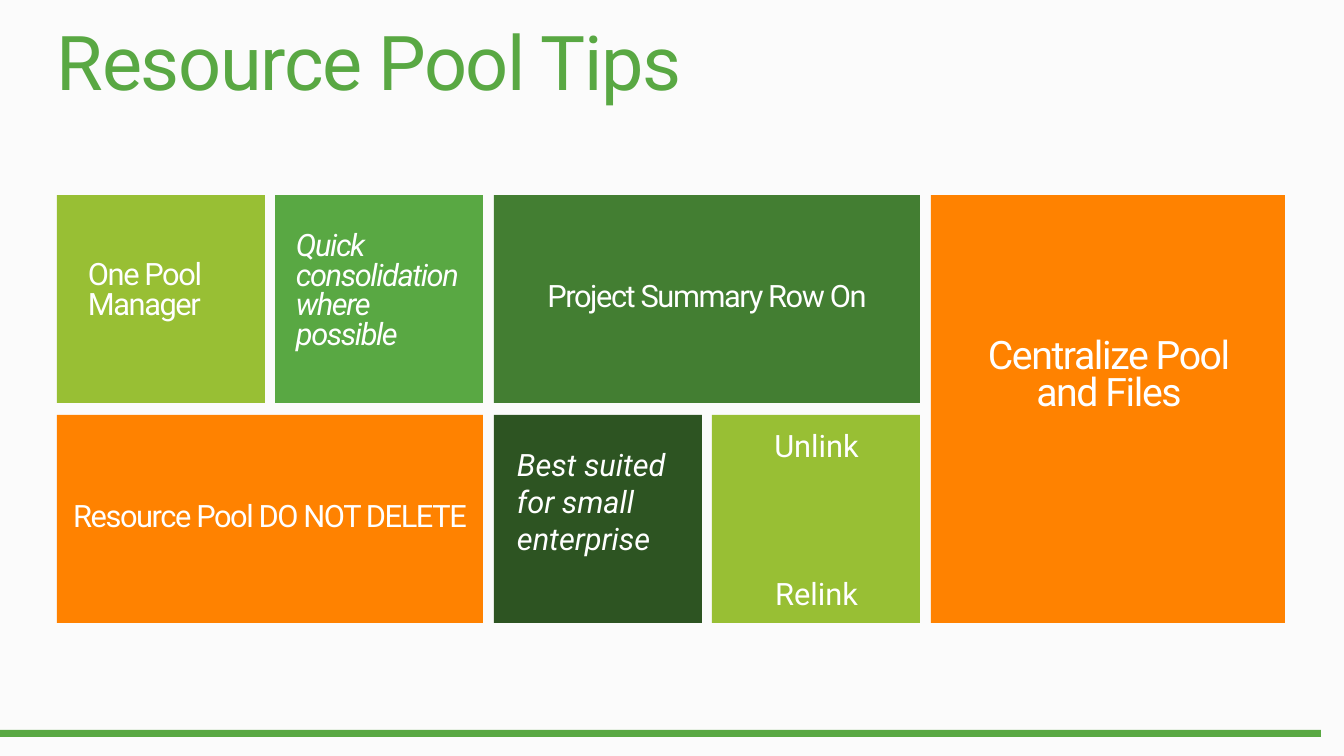
from pptx import Presentation
from pptx.dml.color import RGBColor
from pptx.enum.shapes import MSO_SHAPE as SHAPE
from pptx.enum.text import MSO_ANCHOR as ANCHOR, MSO_AUTO_SIZE as AUTO, PP_ALIGN as ALIGN
from pptx.util import Pt

PX = 914400 / 100.8  # EMU in one px
FONT = "Roboto"

BACKGROUND = RGBColor(0xFB, 0xFB, 0xFB)
WHITE = RGBColor(0xFF, 0xFF, 0xFF)
LIME = RGBColor(0x98, 0xBF, 0x34)
GREEN = RGBColor(0x59, 0xA8, 0x43)
MID_GREEN = RGBColor(0x43, 0x7E, 0x32)
DARK_GREEN = RGBColor(0x2D, 0x54, 0x22)
ORANGE = RGBColor(0xFF, 0x82, 0x00)

# Tile grid in px
GRID_LEFT, GRID_TOP = 57, 195
ROW_PITCH = 220
TILE, WIDE, TALL = 208, 426, 428

# Column, row, width, height, colour, text centred in the tile
TILES = [
    (0, 0, TILE, TILE, LIME, None),
    (1, 0, TILE, TILE, GREEN, None),
    (2, 0, WIDE, TILE, MID_GREEN, "Project Summary Row On"),
    (4, 0, 354, TALL, ORANGE, None),
    (0, 1, WIDE, TILE, ORANGE, "Resource Pool DO NOT DELETE"),
    (2, 1, TILE, TILE, DARK_GREEN, None),
    (3, 1, TILE, TILE, LIME, None),
]

TIGHT = {"line": 0.8, "spacing": -100}
CENTRED = {"align": ALIGN.CENTER}

# Box in px, paragraphs, format
CAPTIONS = [
    ((88, 262, 141, 60), ["One Pool Manager"], TIGHT),
    ((296, 233, 165, 119), ["Quick consolidation where possible"], {**TIGHT, "italic": True}),
    ((950, 339, 318, 76), ["Centralize Pool", "and Files"], {**TIGHT, **CENTRED, "size": 28}),
    ((517, 446, 172, 112), ["Best suited for small enterprise"], {"italic": True}),
    ((735, 427, 163, 186), ["Unlink", "Relink"], {**CENTRED, "gap": 79}),
]


def px(*lengths):
    return [round(n * PX) for n in lengths]


def write(tf, lines, color=WHITE, size=22, align=ALIGN.LEFT, line=1.0,
          spacing=0, italic=False, gap=0, anchor=ANCHOR.TOP, inset=0):
    margin, = px(inset)
    frame = {"word_wrap": True, "auto_size": AUTO.NONE, "vertical_anchor": anchor,
             "margin_left": margin, "margin_right": margin,
             "margin_top": margin, "margin_bottom": margin}
    for name, value in frame.items():
        setattr(tf, name, value)
    for i, text in enumerate(lines):
        p = tf.add_paragraph() if i else tf.paragraphs[0]
        p.alignment, p.line_spacing = align, line
        p.space_before = Pt(gap if i else 0)
        r = p.add_run()
        r.text = text
        for name, value in {"name": FONT, "size": Pt(size), "italic": italic}.items():
            setattr(r.font, name, value)
        r.font.color.rgb = color
        if spacing:
            r.font._element.set("spc", str(spacing))


def add_title(slide, box, text):
    sp = slide.shapes.title
    sp.left, sp.top, sp.width, sp.height = px(*box)
    write(sp.text_frame, [text], color=GREEN, size=54, line=0.9, spacing=-100)


def add_block(slide, box, color):
    sp = slide.shapes.add_shape(SHAPE.RECTANGLE, *px(*box))
    sp.shadow.inherit = False
    sp.fill.solid()
    sp.fill.fore_color.rgb = color
    sp.line.fill.background()
    return sp


def add_tile(slide, col, row, width, height, color, label):
    left = GRID_LEFT + col * 437 // 2  # two columns take 437 px
    sp = add_block(slide, (left, GRID_TOP + row * ROW_PITCH, width, height), color)
    if label:
        write(sp.text_frame, [label], anchor=ANCHOR.MIDDLE, inset=10, **TIGHT, **CENTRED)


def add_caption(slide, box, lines, style):
    write(slide.shapes.add_textbox(*px(*box)).text_frame, lines, **style)


def main():
    prs = Presentation()
    prs.slide_width, prs.slide_height = px(1344, 756)
    slide = prs.slides.add_slide(prs.slide_layouts[5])
    slide.background.fill.solid()
    slide.background.fill.fore_color.rgb = BACKGROUND

    # Title and footer bar
    add_title(slide, (57, 25, 1229, 137), "Resource Pool Tips")
    add_block(slide, (0, 730, 1321, 7), GREEN)

    # Tiles, then the captions over them
    for tile in TILES:
        add_tile(slide, *tile)
    for caption in CAPTIONS:
        add_caption(slide, *caption)

    prs.save("out.pptx")


if __name__ == "__main__":
    main()
